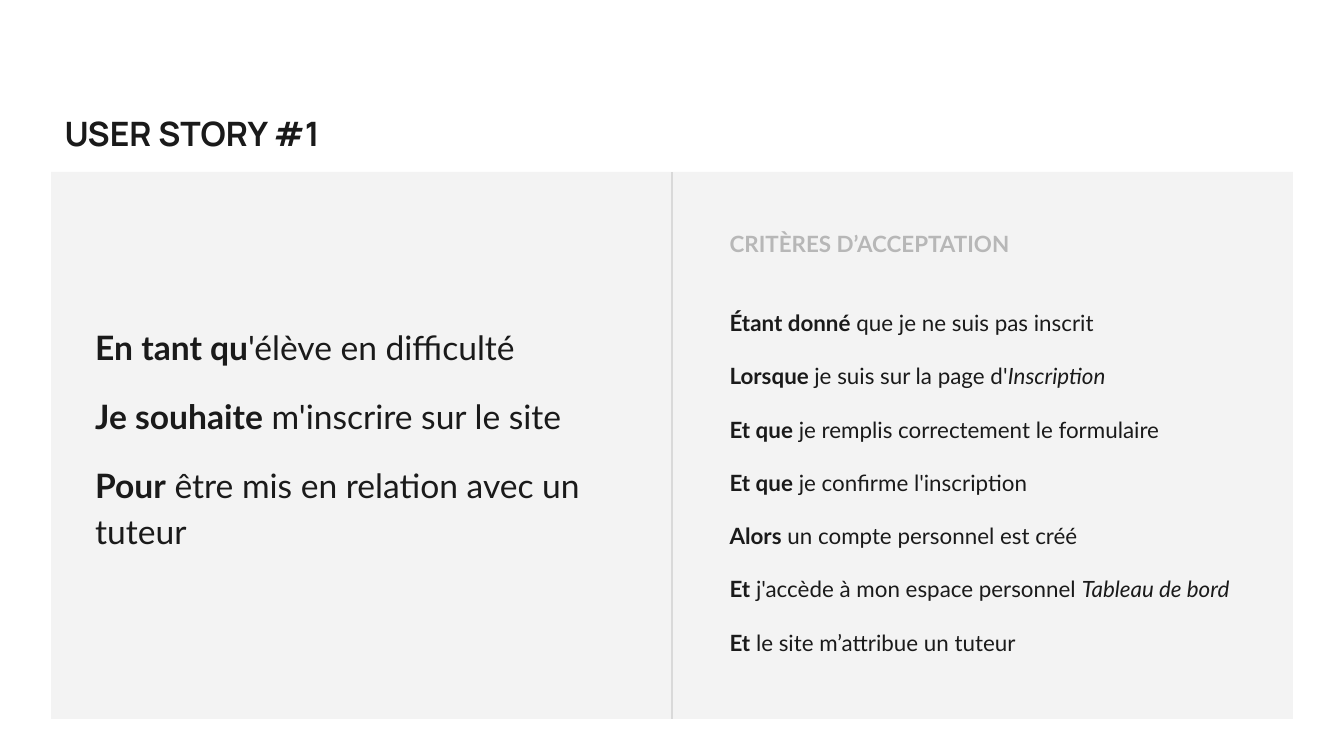
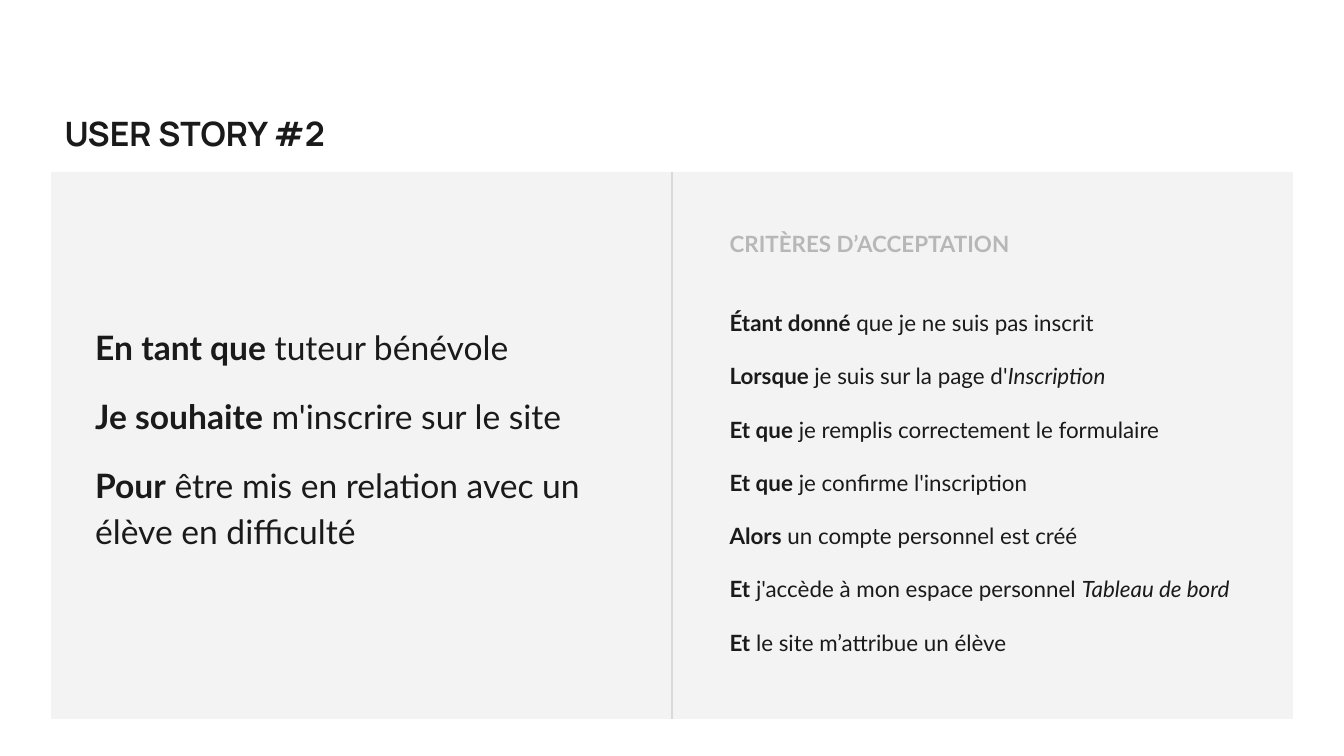
"""Build two user story slides with their acceptance criteria."""
from lxml import etree
from pptx import Presentation
from pptx.dml.color import RGBColor
from pptx.enum.shapes import MSO_CONNECTOR, MSO_SHAPE
from pptx.enum.text import MSO_ANCHOR, MSO_AUTO_SIZE, PP_ALIGN
from pptx.oxml.ns import qn
from pptx.util import Inches, Pt

LINE, RECT = MSO_CONNECTOR.STRAIGHT, MSO_SHAPE.RECTANGLE
TOP, LEFT = MSO_ANCHOR.TOP, PP_ALIGN.LEFT
NONE, GROW = MSO_AUTO_SIZE.NONE, MSO_AUTO_SIZE.SHAPE_TO_FIT_TEXT

COLORS = {"ink": "1A1A1A", "panel": "F3F3F3", "rule": "D9D9D9", "label": "B7B7B7"}
HEAD, BODY = "Manrope", "Lato"
WIDTH = 10
HEIGHT = WIDTH * 9 / 16
PANEL = (0.38, 1.28, 9.24, 4.07)
TITLE = (0.38, 0.74, 2.72, 0.54)
STORY = (0.61, 2.29, 4.19, 2.05)
LABEL = (5.33, 1.61, 3.28, 0.4)
TESTS = (5.33, 2.17, 3.98, 2.87)

HEADING = "CRITÈRES D’ACCEPTATION"
WISH = ("Je souhaite", " m'inscrire sur le site")
STEPS = [
    ("Étant donné", " que je ne suis pas inscrit"),
    ("Lorsque ", "je suis sur la page d'", "Inscription"),
    ("Et que", " je remplis correctement le formulaire"),
    ("Et que", " je confirme l'inscription"),
    ("Alors", " un compte personnel est créé"),
    ("Et", " j'accède à mon espace personnel ", "Tableau de bord"),
]
STORIES = [
    {
        "title": "USER STORY #1",
        "role": ("En tant qu", "'élève en difficulté"),
        "goal": ("Pour", " être mis en relation avec un tuteur"),
        "last": ("Et", " le site m’attribue un tuteur"),
    },
    {
        "title": "USER STORY #2",
        "role": ("En tant que", " tuteur bénévole"),
        "goal": ("Pour", " être mis en relation avec un élève en difficulté"),
        "last": ("Et", " le site m’attribue un élève"),
    },
]


def color(name):
    return RGBColor.from_string(COLORS[name])


def place(shape, box):
    shape.left, shape.top, shape.width, shape.height = map(Inches, box)


def style(para, size, face=BODY, ink="ink", bold=None):
    font = para.font
    font.name, font.size, font.bold = face, Pt(size), bold
    font.color.rgb = color(ink)
    para.alignment = LEFT


def frame(shape, fit=NONE):
    text = shape.text_frame
    text.word_wrap, text.auto_size = True, fit
    text.vertical_anchor = TOP
    text.margin_left = text.margin_right = Inches(0.1)
    text.margin_top = text.margin_bottom = Inches(0.1)
    return text


def add_label(shape, words, size, face, ink, fit=NONE):
    text = frame(shape, fit)
    text.text = words
    style(text.paragraphs[0], size, face, ink, True)


def add_lines(slide, box, lines, size):
    text = frame(slide.shapes.add_textbox(*map(Inches, box)))
    for i, parts in enumerate(lines):
        para = text.add_paragraph() if i else text.paragraphs[0]
        style(para, size)
        para.line_spacing = 1.15
        if i:
            para.space_before = Pt(12)
        for j, words in enumerate(parts):
            run = para.add_run()
            run.text = words
            run.font.bold, run.font.italic = j == 0, j == 2


def add_panel(slide):
    panel = slide.shapes.add_shape(RECT, *map(Inches, PANEL))
    panel.shadow.inherit = False
    panel.fill.solid()
    panel.fill.fore_color.rgb = color("panel")
    panel.line.fill.background()


def add_rule(slide):
    left, top, width, height = PANEL
    mid = left + width / 2
    rule = slide.shapes.add_connector(
        LINE, *map(Inches, (mid, top, mid, top + height)))
    rule.line.color.rgb = color("rule")
    rule.line.width = Pt(0.75)
    etree.SubElement(rule._element.spPr, qn("a:effectLst"))


def add_story(deck, story):
    slide = deck.slides.add_slide(deck.slide_layouts[5])
    add_panel(slide)
    title = slide.shapes.title
    place(title, TITLE)
    add_label(title, story["title"], 18, HEAD, "ink")
    add_lines(slide, STORY, [story["role"], WISH, story["goal"]], 18)
    add_lines(slide, TESTS, STEPS + [story["last"]], 12)
    add_rule(slide)
    label = slide.shapes.add_textbox(*map(Inches, LABEL))
    add_label(label, HEADING, 12, BODY, "label", GROW)


def main():
    deck = Presentation()
    deck.slide_width, deck.slide_height = Inches(WIDTH), Inches(HEIGHT)
    for story in STORIES:
        add_story(deck, story)
    deck.save("out.pptx")


if __name__ == "__main__":
    main()
